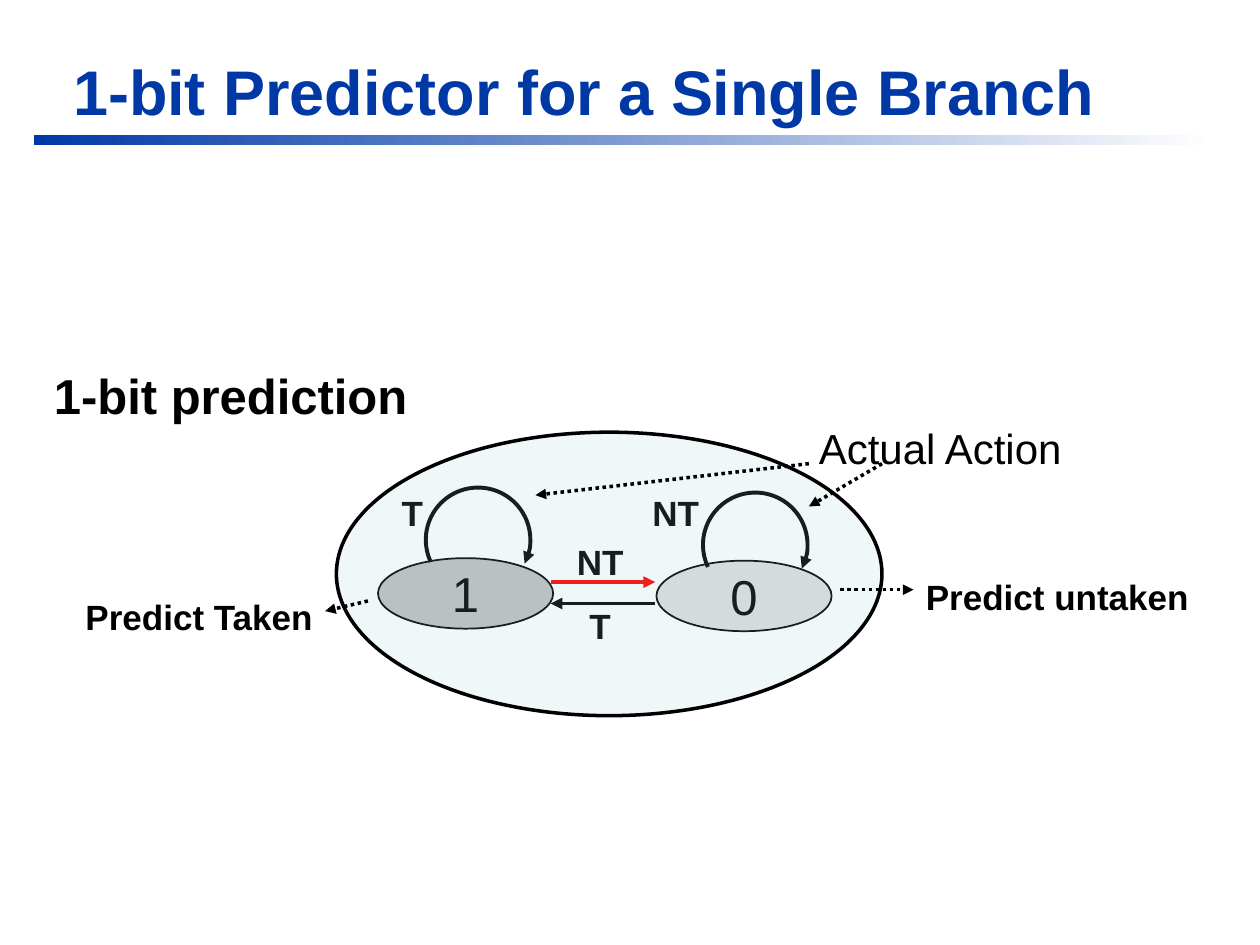
"""Build the slide showing a 1-bit branch predictor as a two-state diagram."""
from lxml.etree import SubElement
from pptx import Presentation
from pptx.dml.color import RGBColor
from pptx.enum.dml import MSO_LINE
from pptx.enum.shapes import MSO_CONNECTOR, MSO_SHAPE
from pptx.enum.text import MSO_ANCHOR, PP_ALIGN
from pptx.oxml.ns import qn
from pptx.util import Inches, Pt

COLORS = {
    "title": "0039A6",
    "white": "FFFFFF",
    "ink": "000000",
    "state": "C0C0C0",
    "predictor": "9FCAD3",
    "mispredict": "FF0000",
}


def write_text(frame, text, size=20, color="ink", bold=True, align=PP_ALIGN.LEFT,
               anchor=MSO_ANCHOR.TOP, wrap=False):
    frame.word_wrap = wrap
    frame.vertical_anchor = anchor
    paragraph = frame.paragraphs[0]
    paragraph.text = text
    paragraph.alignment = align
    paragraph.font.name = "Arial"
    paragraph.font.size = Pt(size)
    paragraph.font.bold = bold
    paragraph.font.color.rgb = RGBColor.from_string(COLORS[color])


def style_shape(shape, width, stroke="ink", fill=None, opacity=100, dash=None, arrow=False):
    properties = shape._element.spPr
    if fill:
        shape.fill.solid()
        shape.fill.fore_color.rgb = RGBColor.from_string(COLORS[fill])
        fill_color = properties.find(qn("a:solidFill")).find(qn("a:srgbClr"))
        SubElement(fill_color, qn("a:alpha"), val=str(opacity * 1000))
    shape.line.color.rgb = RGBColor.from_string(COLORS[stroke])
    shape.line.width = Pt(width)
    if dash:
        shape.line.dash_style = dash
    if arrow:
        SubElement(properties.find(qn("a:ln")), qn("a:tailEnd"), type="triangle")
    SubElement(properties, qn("a:effectLst"))


prs = Presentation()
prs.slide_width, prs.slide_height = Inches(10), Inches(7.5)
slide = prs.slides.add_slide(prs.slide_layouts[5])
shapes = slide.shapes

title = shapes.title
title.left, title.top, title.width, title.height = map(Inches, (0.48, 0.36, 9.03, 0.71))
write_text(title.text_frame, "1-bit Predictor for a Single Branch", size=36, color="title",
           anchor=MSO_ANCHOR.MIDDLE, wrap=True)

title_rule = shapes.add_shape(MSO_SHAPE.RECTANGLE, *map(Inches, (0.27, 1.07, 9.37, 0.08)))
title_rule.shadow.inherit = False
title_rule.line.fill.background()
title_rule.fill.gradient()
title_rule.fill.gradient_angle = 0
for stop, color in zip(title_rule.fill.gradient_stops, ("title", "white")):
    stop.color.rgb = RGBColor.from_string(COLORS[color])

for digit, left, top, opacity in (("1", 3, 4.43, 100), ("0", 5.21, 4.45, 50)):
    state = shapes.add_shape(MSO_SHAPE.OVAL, *map(Inches, (left, top, 1.39, 0.56)))
    style_shape(state, 1, fill="state", opacity=opacity)
    write_text(state.text_frame, digit, size=28, bold=False,
               align=PP_ALIGN.CENTER, anchor=MSO_ANCHOR.MIDDLE)

for left, top in ((3.38, 3.87), (5.58, 3.91)):
    self_loop = shapes.add_shape(MSO_SHAPE.ARC, *map(Inches, (left, top, 0.83, 0.83)))
    for index, degrees in enumerate((155, 27)):
        self_loop.adjustments[index] = degrees * 0.6
    self_loop.fill.background()
    style_shape(self_loop, 2.25, arrow=True)

for start, end, y, stroke in ((5.2, 4.37, 4.79, "ink"), (4.37, 5.2, 4.62, "mispredict")):
    transition = shapes.add_connector(MSO_CONNECTOR.STRAIGHT, *map(Inches, (start, y, end, y)))
    style_shape(transition, 2.25, stroke=stroke, arrow=True)

for text, left, top, width, height, text_format in (
    ("T", 3.09, 3.85, 0.37, 0.43, {}),
    ("NT", 5.08, 3.85, 0.57, 0.43, {}),
    ("NT", 4.48, 4.24, 0.57, 0.43, {}),
    ("T", 4.58, 4.75, 0.37, 0.43, {}),
    ("Predict Taken", 0.58, 4.68, 2.02, 0.43, {}),
    ("Predict untaken", 7.25, 4.52, 2.3, 0.43, {}),
    ("1-bit prediction", 0.33, 2.85, 3.04, 0.57, {"size": 28}),
    ("Actual Action", 6.4, 3.3, 2.15, 0.51, {"size": 24, "bold": False}),
):
    label = shapes.add_textbox(*map(Inches, (left, top, width, height)))
    write_text(label.text_frame, text, **text_format)

predictor = shapes.add_shape(MSO_SHAPE.OVAL, *map(Inches, (2.67, 3.43, 4.33, 2.25)))
style_shape(predictor, 2, fill="predictor", opacity=15)

for ends in (
    (6.67, 4.68, 7.25, 4.68),
    (2.92, 4.77, 2.58, 4.85),
    (6.42, 3.68, 4.25, 3.93),
    (7, 3.68, 6.42, 4.02),
):
    pointer = shapes.add_connector(MSO_CONNECTOR.STRAIGHT, *map(Inches, ends))
    style_shape(pointer, 2, dash=MSO_LINE.ROUND_DOT, arrow=True)

prs.save("out.pptx")
